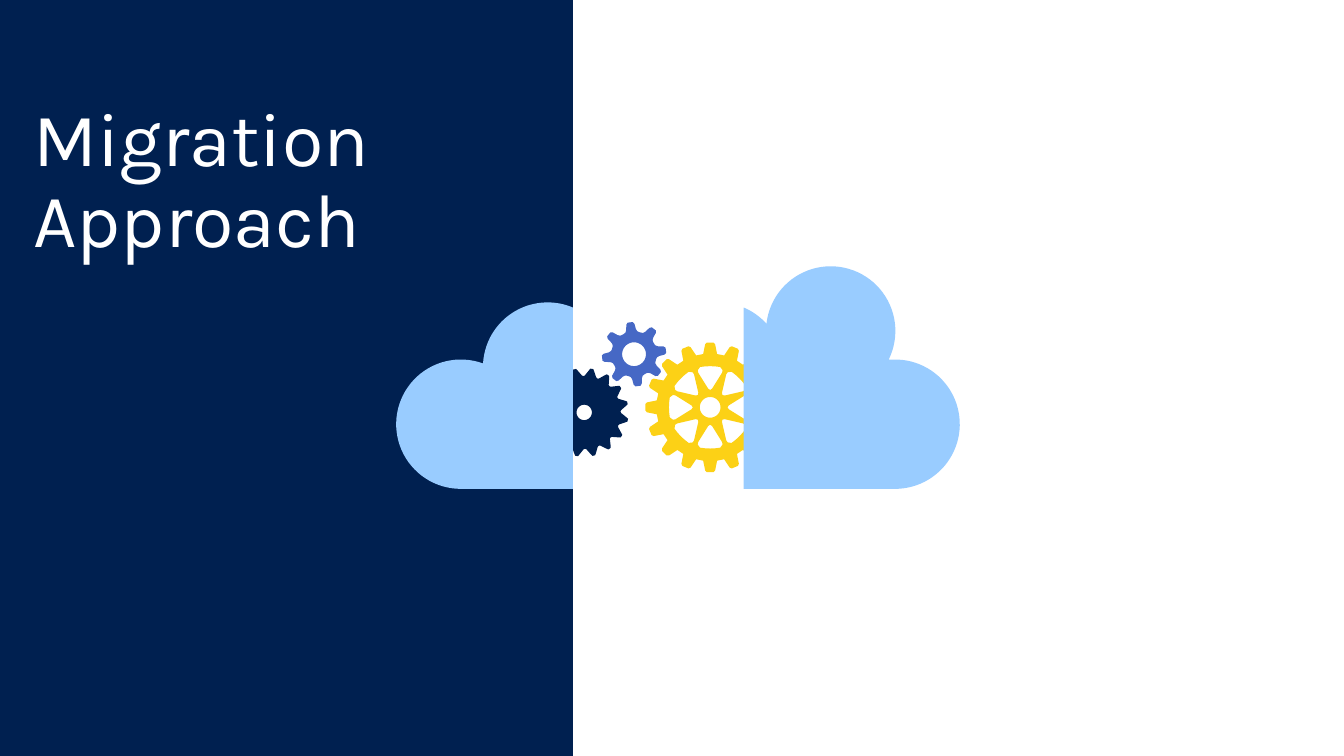
from math import cos, radians, sin

from pptx import Presentation
from pptx.dml.color import RGBColor
from pptx.enum.shapes import MSO_SHAPE
from pptx.util import Pt

COLORS = {
    "navy": "002050",
    "blue": "4668C5",
    "yellow": "FCD116",
    "sky": "99CCFF",
    "white": "FFFFFF",
}
FONT = "Karla"
CLOUD_RADIUS = 46.2


def paint(shape, color):
    """Give a shape a flat fill without line or shadow."""
    shape.shadow.inherit = False
    shape.fill.solid()
    shape.fill.fore_color.rgb = RGBColor.from_string(COLORS[color])
    shape.line.fill.background()


def polar(center, radius, degrees):
    """Return the point at an angle and distance from a centre."""
    angle = radians(degrees)
    return center[0] + radius * cos(angle), center[1] + radius * sin(angle)


def arc(center, radius, start, end, steps=48):
    """Return evenly spaced points along a circular arc."""
    return [polar(center, radius, start + (end - start) * step / steps)
            for step in range(steps + 1)]


def mirrored(half):
    """Complete a list of angle and radius pairs symmetrically about angle zero."""
    return [(-angle, radius) for angle, radius in reversed(half)] + half


def add_outline(shapes, contours, origin, color):
    """Draw closed contours, given relative to an origin, as one shape."""
    placed = [[(Pt(origin[0] + x), Pt(origin[1] + y)) for x, y in contour]
              for contour in contours]
    builder = shapes.build_freeform(*placed[0][0])
    builder.add_line_segments(placed[0][1:], close=True)
    for contour in placed[1:]:
        builder.move_to(*contour[0])
        builder.add_line_segments(contour[1:], close=True)
    paint(builder.convert_to_shape(), color)


def gear_contours(center, teeth, phase, half_tooth, hub, half_window=None):
    """Return gear rim, hub hole and optional windows; tooth angles are pitch fractions."""
    pitch = 360 / teeth
    rim = [polar(center, radius, phase + (tooth + fraction) * pitch)
           for tooth in range(teeth) for fraction, radius in mirrored(half_tooth)]
    windows = []
    if half_window:
        windows = [[polar(center, radius, turn + angle)
                    for angle, radius in mirrored(half_window)]
                   for turn in range(0, 360, 45)]
    return [rim, arc(center, hub, 0, 360)] + windows


def add_gears(shapes, origin):
    """Draw the three interlocking gears."""
    small = gear_contours((169.9, 62.8), 8, -7,
                          [(0.1, 23), (0.17, 21.8), (0.25, 18), (0.33, 16.6), (0.43, 16.2)], 8.5)
    dark = gear_contours((134.3, 104.4), 16, 10,
                         [(0.08, 31.6), (0.15, 30.4), (0.4, 26.4), (0.48, 26)], 5.5)
    large = gear_contours((224.3, 100.8), 16, 0,
                          [(0.13, 46.3), (0.2, 45.2), (0.33, 38.4)], 7.4,
                          [(0, 12.4), (6, 13.4), (19, 26.2), (18.5, 28), (14, 29.7), (7, 29.5), (0, 29.4)])
    for contours, color in ((small, "blue"), (dark, "navy"), (large, "yellow")):
        add_outline(shapes, contours, origin, color)


def add_clouds(shapes, origin, height):
    """Draw the left and right cloud halves on a common base line."""
    base = height - CLOUD_RADIUS
    left = (arc((CLOUD_RADIUS, base), CLOUD_RADIUS, 90, 290)
            + arc((108.2, 72), CLOUD_RADIUS, 183, 293) + [(126.2, height)])
    right = ([(248.2, height)] + arc((230.2, 72), CLOUD_RADIUS, 293, 318)
             + arc((310.4, 46.2), CLOUD_RADIUS, 187, 386)
             + arc((356.4, base), CLOUD_RADIUS, 265, 450))
    for contour in (left, right):
        add_outline(shapes, [contour], origin, "sky")


def add_title_panel(slide, left, top, width, height):
    """Draw the dark panel with the slide title."""
    panel = slide.shapes.add_shape(MSO_SHAPE.RECTANGLE, Pt(left), Pt(top), Pt(width), Pt(height))
    paint(panel, "navy")
    title = slide.shapes.add_textbox(Pt(left + 9.4), Pt(top + 60.5), Pt(width - 22.4), Pt(248.4))
    frame = title.text_frame
    frame.word_wrap = True
    frame.margin_left = frame.margin_right = Pt(14.4)
    frame.margin_top = frame.margin_bottom = Pt(11.5)
    frame.text = "Migration Approach"
    paragraph = frame.paragraphs[0]
    paragraph.line_spacing = 0.9
    paragraph.space_after = Pt(6)
    font = paragraph.runs[0].font
    font.name = FONT
    font.size = Pt(54)
    font.color.rgb = RGBColor.from_string(COLORS["white"])


def add_illustration(slide, left, top, height):
    """Draw the gears running between two clouds."""
    group = slide.shapes.add_group_shape()
    add_gears(group.shapes, (left, top))
    add_clouds(group.shapes, (left, top), height)


def main():
    """Build and save the presentation."""
    presentation = Presentation()
    presentation.slide_width = Pt(960)
    presentation.slide_height = Pt(540)
    slide = presentation.slides.add_slide(presentation.slide_layouts[6])
    add_title_panel(slide, 0, 0, 409.2, 540)
    add_illustration(slide, 283, 190.2, 159)
    presentation.save("out.pptx")


if __name__ == "__main__":
    main()
